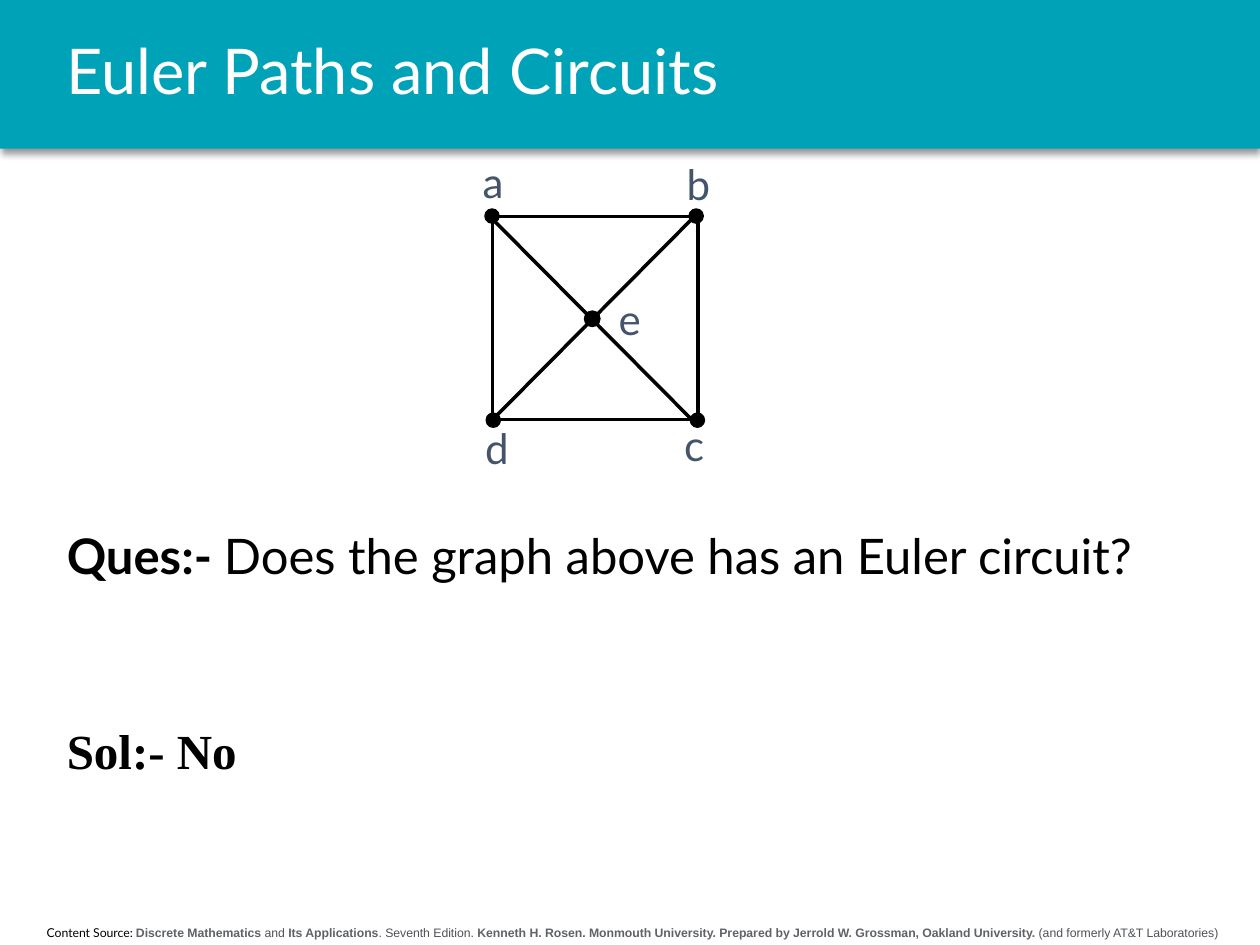
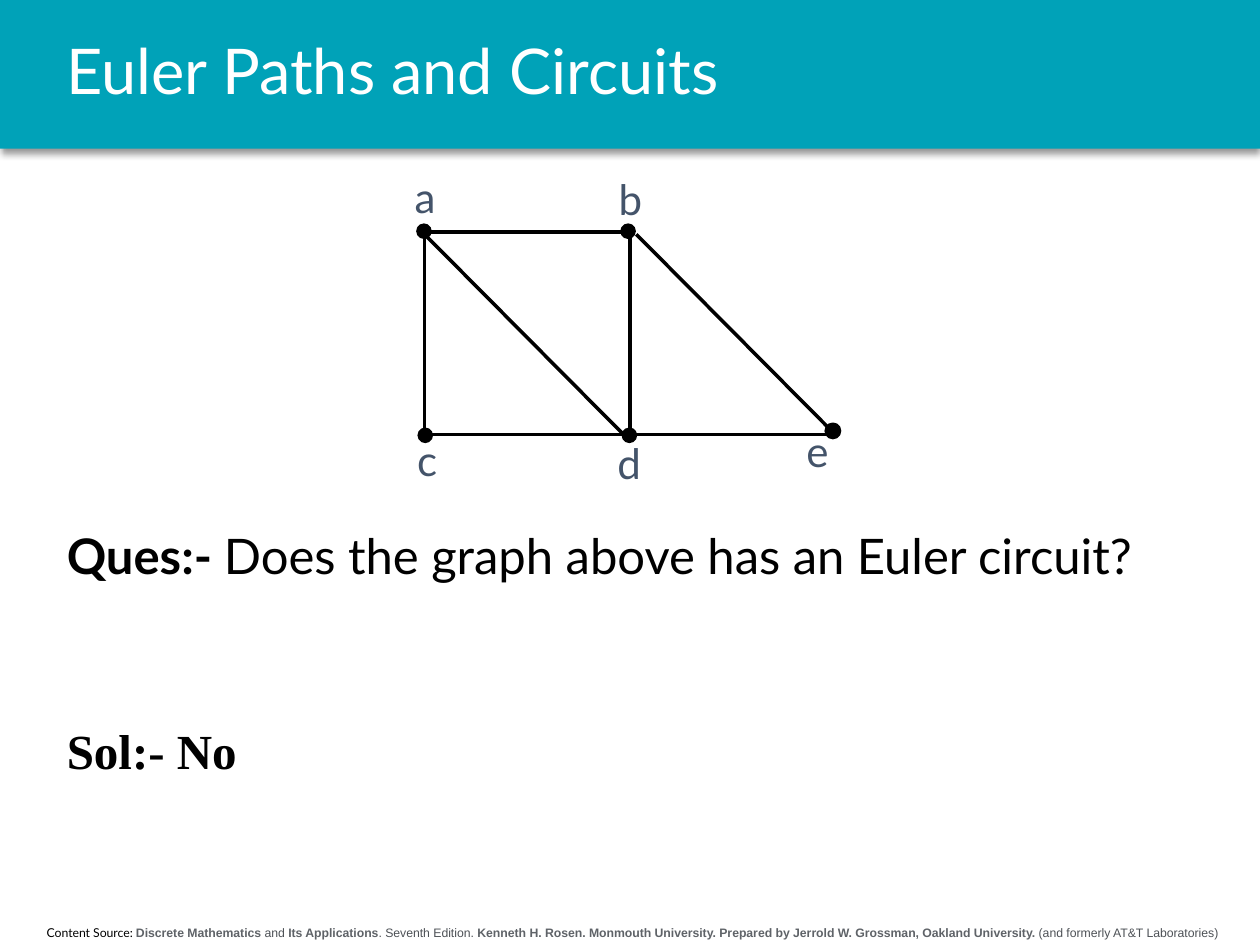
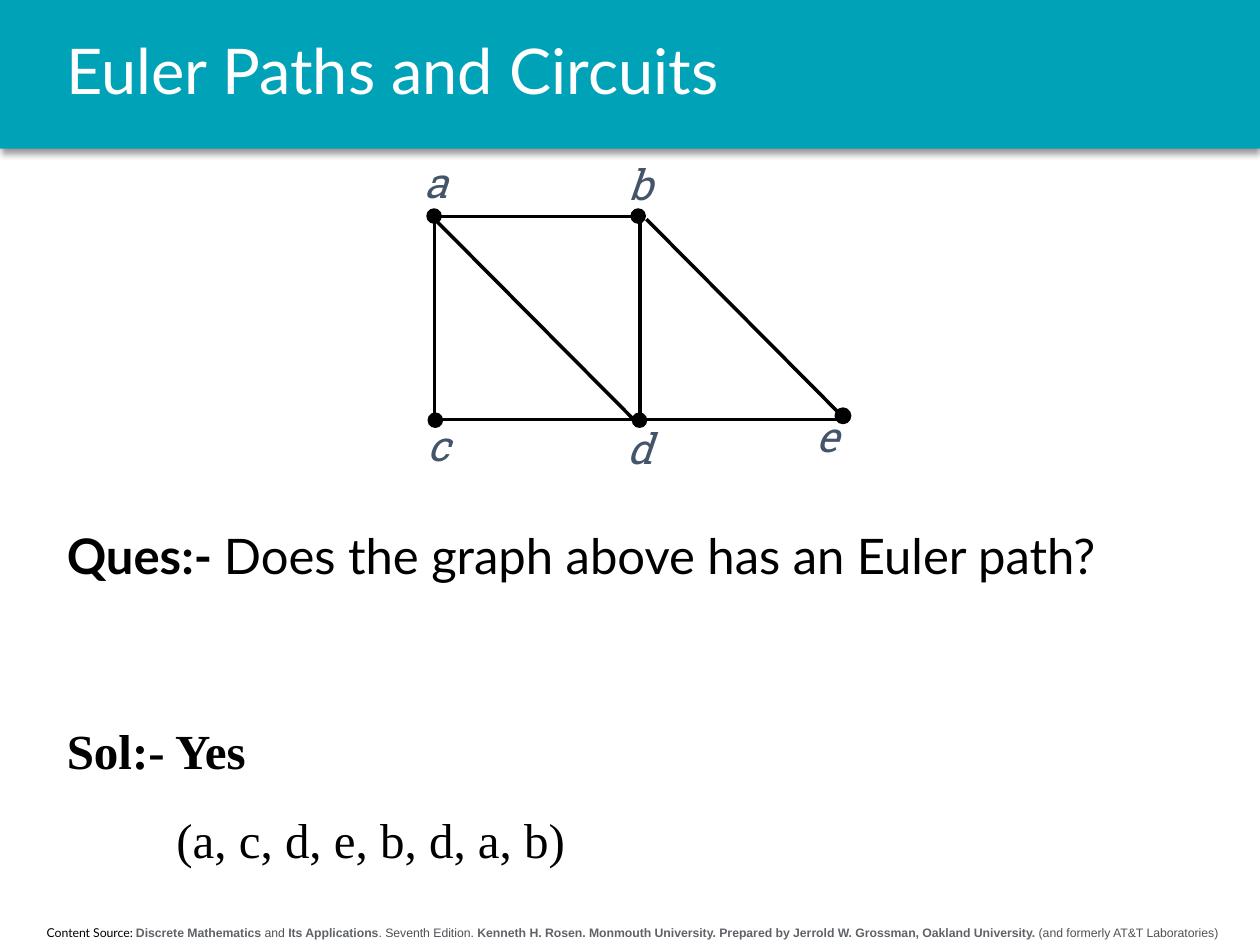
"""Build three slides on Euler paths and circuits."""
from dataclasses import dataclass

from lxml import etree
from pptx import Presentation
from pptx.dml.color import RGBColor
from pptx.enum.shapes import MSO_CONNECTOR, MSO_SHAPE
from pptx.enum.text import MSO_ANCHOR, MSO_AUTO_SIZE, PP_ALIGN
from pptx.oxml.ns import qn
from pptx.util import Inches, Pt

RECTANGLE = MSO_SHAPE.RECTANGLE
OVAL = MSO_SHAPE.OVAL
STRAIGHT = MSO_CONNECTOR.STRAIGHT
MIDDLE = MSO_ANCHOR.MIDDLE
NO_FIT = MSO_AUTO_SIZE.NONE
LEFT, CENTER, JUSTIFY = PP_ALIGN.LEFT, PP_ALIGN.CENTER, PP_ALIGN.JUSTIFY


@dataclass(frozen=True)
class Theme:
    """Colours, fonts and type sizes."""
    band: str = "00A2B8"
    title: str = "FFFFFF"
    ink: str = "000000"
    label: str = "44546A"
    source_strong: str = "5F6368"
    source_plain: str = "4D5156"
    sans: str = "Lato"
    answer: str = "Times New Roman"
    source: str = "Arial"
    slab: str = "Roboto Slab"
    title_size: int = 36
    body_size: int = 28
    label_size: int = 24
    source_size: int = 7


THEME = Theme()
TITLE = "Euler Paths and Circuits"
SOURCE = [
    ("Discrete Mathematics", True),
    (" and ", False),
    ("Its Applications", True),
    (". Seventh Edition. ", False),
    ("Kenneth H. Rosen. Monmouth University. Prepared by Jerrold W. Grossman, "
     "Oakland University.", True),
    (" (and formerly AT&T Laboratories)", False),
]

DOT, HUB = 0.11, 0.12
TOP_LEFT, TOP_RIGHT = (0, 0, DOT), (1.62, 0, DOT)
BOTTOM_LEFT, BOTTOM_RIGHT = (0.01, 1.62, DOT), (1.63, 1.62, DOT)
SQUARE_EDGES = [
    (0.06, 0.07, 0.06, 1.68),
    (1.69, 0.07, 1.69, 1.68),
    (0.11, 0.06, 1.71, 0.06),
    (0.08, 1.67, 1.68, 1.67),
    (0.06, 0.08, 1.64, 1.67),
]
TOP_NODES = {"a": (TOP_LEFT, (-0.02, -0.42)), "b": (TOP_RIGHT, (1.6, -0.4))}
CROSSED_SQUARE = (
    TOP_NODES | {
        "c": (BOTTOM_RIGHT, (1.58, 1.67)),
        "d": (BOTTOM_LEFT, (0, 1.69)),
        "e": ((0.79, 0.81, HUB), (1.06, 0.67)),
    },
    SQUARE_EDGES + [(1.64, 0.08, 0.06, 1.67)],
)
SQUARE_AND_TRIANGLE = (
    TOP_NODES | {
        "c": (BOTTOM_LEFT, (0, 1.67)),
        "d": (BOTTOM_RIGHT, (1.59, 1.69)),
        "e": ((3.24, 1.58, HUB), (3.09, 1.6)),
    },
    SQUARE_EDGES + [(1.74, 0.08, 3.32, 1.67), (1.71, 1.67, 3.32, 1.67)],
)


class Deck:
    """Hold the theme and the current slide, and draw each kind of element."""

    def __init__(self, theme):
        self.theme = theme
        self.presentation = Presentation()
        self.presentation.slide_width = Inches(10)
        self.presentation.slide_height = Inches(7.5)
        self.layout = self.presentation.slide_layouts[1]
        self.slide = None

    def new_slide(self):
        self.slide = self.presentation.slides.add_slide(self.layout)
        if len(self.presentation.slides) == 1:
            self.share([self.band(), self.source()])
        self.title()

    def share(self, shapes):
        """Move shapes from the slide to the layout, behind its placeholders."""
        tree = self.layout.shapes._spTree
        for index, shape in enumerate(shapes):
            shape._element.nvSpPr.cNvPr.id = 100 + index
            tree.insert(2 + index, shape._element)

    def style(self, font, size, color, name, bold=False, italic=False):
        font.size = Pt(size)
        font.color.rgb = RGBColor.from_string(color)
        font.name = name
        font.bold = bold
        font.italic = italic

    def shape(self, kind, color, left, top, width, height):
        shape = self.slide.shapes.add_shape(
            kind, Inches(left), Inches(top), Inches(width), Inches(height))
        shape.shadow.inherit = False
        shape.fill.solid()
        shape.fill.fore_color.rgb = RGBColor.from_string(color)
        return shape

    def text_box(self, left, top, width, height):
        box = self.slide.shapes.add_textbox(
            Inches(left), Inches(top), Inches(width), Inches(height))
        box.text_frame.word_wrap = True
        return box

    def placeholder(self, index, left, top, width, height):
        holder = self.slide.placeholders[index]
        holder.left, holder.top = Inches(left), Inches(top)
        holder.width, holder.height = Inches(width), Inches(height)
        holder.text_frame.auto_size = NO_FIT
        return holder.text_frame

    def band(self):
        band = self.shape(RECTANGLE, self.theme.band, 0, 0, 10, 1.18)
        band.line.fill.background()
        effects = band._element.spPr.find(qn("a:effectLst"))
        shadow = etree.SubElement(
            effects, qn("a:outerShdw"), blurRad=str(Pt(4)), dist=str(Pt(3)),
            dir="5400000", algn="t", rotWithShape="0")
        black = etree.SubElement(shadow, qn("a:srgbClr"), val=self.theme.ink)
        etree.SubElement(black, qn("a:alpha"), val="40000")
        return band

    def source(self):
        theme = self.theme
        box = self.text_box(0.04, 7.29, 9.96, 0.22)
        line = box.text_frame.paragraphs[0]
        line.alignment = CENTER
        lead = line.add_run()
        lead.text = "Content Source: "
        self.style(lead.font, theme.source_size, theme.ink, theme.sans)
        for words, strong in SOURCE:
            run = line.add_run()
            run.text = words
            color = theme.source_strong if strong else theme.source_plain
            self.style(run.font, theme.source_size, color, theme.source, strong)
        return box

    def title(self):
        frame = self.placeholder(0, 0.43, 0, 9.3, 1.18)
        frame.vertical_anchor = MIDDLE
        frame.text = TITLE
        line = frame.paragraphs[0]
        line.alignment = LEFT
        line.line_spacing = 0.9
        self.style(line.font, self.theme.title_size, self.theme.title, self.theme.sans)

    def body_line(self, line, font, before=0, indent=0, bold=False):
        properties = line._p.get_or_add_pPr()
        properties.set("marL", str(Inches(indent)))
        properties.set("indent", "0")
        etree.SubElement(properties, qn("a:buNone"))
        line.alignment = JUSTIFY
        line.line_spacing = 1.5
        line.space_before = Pt(before)
        self.style(line.font, self.theme.body_size, self.theme.ink, font, bold)

    def question(self, question, answer, route=None):
        frame = self.placeholder(1, 0.43, 3.89, 9.3, 3.32)
        asked = frame.paragraphs[0]
        self.body_line(asked, self.theme.sans)
        for words, bold in (("Ques:- ", True), (question, False)):
            run = asked.add_run()
            run.text = words
            run.font.bold = bold
        solution = frame.add_paragraph()
        solution.text = f"Sol:- {answer}"
        self.body_line(solution, self.theme.answer, before=61, bold=True)
        if route:
            walk = frame.add_paragraph()
            walk.text = route
            self.body_line(walk, self.theme.answer, indent=0.87)

    def dot(self, left, top, size):
        dot = self.shape(OVAL, self.theme.ink, left, top, size, size)
        dot.line.color.rgb = RGBColor.from_string(self.theme.ink)
        dot.line.width = Pt(1)

    def edge(self, *ends):
        edge = self.slide.shapes.add_connector(STRAIGHT, *map(Inches, ends))
        edge.line.color.rgb = RGBColor.from_string(self.theme.ink)
        edge.line.width = Pt(2)
        etree.SubElement(edge._element.spPr, qn("a:effectLst"))

    def label(self, name, left, top, font, italic):
        frame = self.text_box(left, top, 0.32, 0.4).text_frame
        frame.margin_left = frame.margin_right = 0
        frame.margin_top = frame.margin_bottom = 0
        frame.text = name
        self.style(frame.paragraphs[0].font, self.theme.label_size,
                   self.theme.label, font, italic=italic)

    def graph(self, graph, x, y, font, italic=False):
        nodes, edges = graph
        for x1, y1, x2, y2 in edges:
            self.edge(x + x1, y + y1, x + x2, y + y2)
        for name, ((dx, dy, size), (label_x, label_y)) in nodes.items():
            self.dot(x + dx, y + dy, size)
            self.label(name, x + label_x, y + label_y, font, italic)


def main():
    deck = Deck(THEME)
    circuit = "Does the graph above has an Euler circuit?"

    deck.new_slide()
    deck.question(circuit, "No")
    deck.graph(CROSSED_SQUARE, 3.85, 1.66, THEME.sans)

    deck.new_slide()
    deck.question(circuit, "No")
    deck.graph(SQUARE_AND_TRIANGLE, 3.31, 1.78, THEME.sans)

    deck.new_slide()
    deck.question("Does the graph above has an Euler path?", "Yes",
                  "(a, c, d, e, b, d, a, b)")
    deck.graph(SQUARE_AND_TRIANGLE, 3.39, 1.66, THEME.slab, italic=True)

    deck.presentation.save("out.pptx")


if __name__ == "__main__":
    main()
